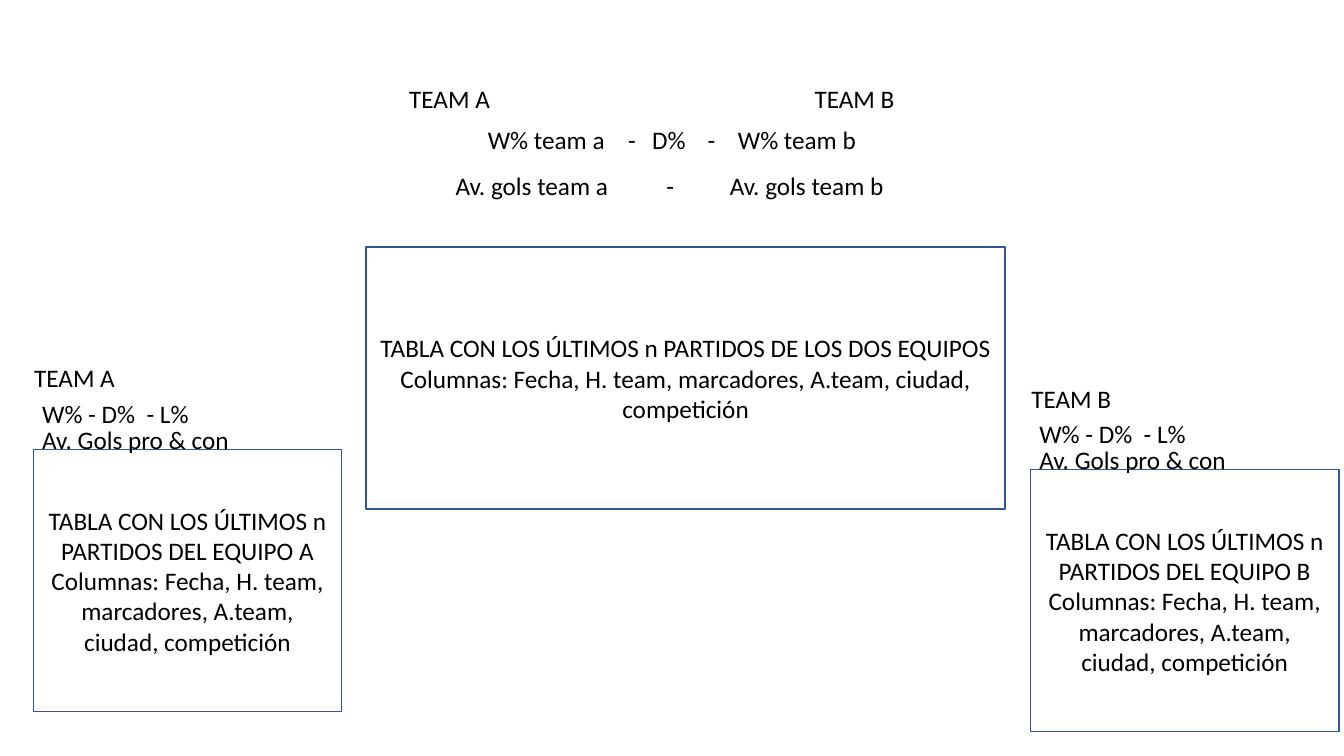
from dataclasses import dataclass

from lxml import etree
from pptx import Presentation
from pptx.dml.color import RGBColor
from pptx.enum.shapes import MSO_SHAPE
from pptx.enum.text import MSO_ANCHOR, PP_ALIGN
from pptx.oxml.ns import qn
from pptx.util import Inches, Pt

BLACK, BORDER = "000000", "325491"
COLUMNS = "Columnas: Fecha, H. team, marcadores, A.team, ciudad, competición"


@dataclass(frozen=True)
class Label:
    left: float
    top: float
    width: float
    text: str
    tabs: tuple[float, ...] = ()


@dataclass(frozen=True)
class TableFrame:
    left: float
    top: float
    width: float
    scope: str


@dataclass(frozen=True)
class TeamPanel:
    left: float
    top: float
    team: str


HEADER = (
    Label(3.96, 0.78, 1.01, "TEAM A"),
    Label(7.98, 0.78, 1.01, "TEAM B"),
    Label(4.74, 1.18, 3.92, "W% team a\t-\tD%\t-\tW% team b", (1.39, 1.63, 2.18, 2.48)),
    Label(4.42, 1.64, 4.56, "Av. gols team a\t-\tAv. gols team b", (2.09, 2.72)),
)
MATCHES = TableFrame(3.63, 2.45, 6.34, "DE LOS DOS EQUIPOS")
PANELS = (TeamPanel(0.33, 4.46, "A"), TeamPanel(10.22, 4.66, "B"))


def color(value: str) -> RGBColor:
    return RGBColor.from_string(value)


def style_text(paragraph) -> None:
    font = paragraph.font
    font.name, font.size = "Calibri", Pt(18)
    for run in paragraph.runs:
        run.font.name, run.font.size = "Calibri", Pt(18)
        run.font.color.rgb = color(BLACK)


def draw_label(slide, label: Label) -> None:
    box = slide.shapes.add_textbox(
        Inches(label.left), Inches(label.top), Inches(label.width), Inches(0.4)
    )
    box.text_frame.word_wrap = bool(label.tabs)
    paragraph = box.text_frame.paragraphs[0]
    paragraph.text = label.text
    style_text(paragraph)
    if label.tabs:
        properties = paragraph._p.get_or_add_pPr()
        stops = etree.Element(qn("a:tabLst"))
        properties.insert(0, stops)
        for position in label.tabs:
            etree.SubElement(stops, qn("a:tab"), pos=str(Inches(position)), algn="l")


def draw_frame(slide, frame: TableFrame) -> None:
    box = slide.shapes.add_shape(
        MSO_SHAPE.RECTANGLE,
        Inches(frame.left), Inches(frame.top), Inches(frame.width), Inches(2.6),
    )
    box.shadow.inherit = False
    box.fill.background()
    box.line.color.rgb = color(BORDER)
    box.line.width = Pt(1)
    text = box.text_frame
    text.word_wrap = True
    text.vertical_anchor = MSO_ANCHOR.MIDDLE
    text.text = f"TABLA CON LOS ÚLTIMOS n PARTIDOS {frame.scope}\n{COLUMNS}"
    for paragraph in text.paragraphs:
        paragraph.alignment = PP_ALIGN.CENTER
        style_text(paragraph)


def draw_panel(slide, panel: TeamPanel) -> None:
    draw_frame(slide, TableFrame(panel.left, panel.top, 3.06, f"DEL EQUIPO {panel.team}"))
    for indent, rise, width, text in (
        (-0.09, 0.91, 1.01, f"TEAM {panel.team}"),
        (-0.01, 0.56, 1.73, "W% - D%  - L%"),
        (-0.01, 0.3, 2.07, "Av. Gols pro & con"),
    ):
        draw_label(slide, Label(panel.left + indent, panel.top - rise, width, text))


def main() -> None:
    """Build the match comparison wireframe and save it."""
    deck = Presentation()
    deck.slide_width, deck.slide_height = Inches(13.33), Inches(7.5)
    slide = deck.slides.add_slide(deck.slide_layouts[6])
    for label in HEADER:
        draw_label(slide, label)
    draw_frame(slide, MATCHES)
    for panel in PANELS:
        draw_panel(slide, panel)
    deck.save("out.pptx")


main()
